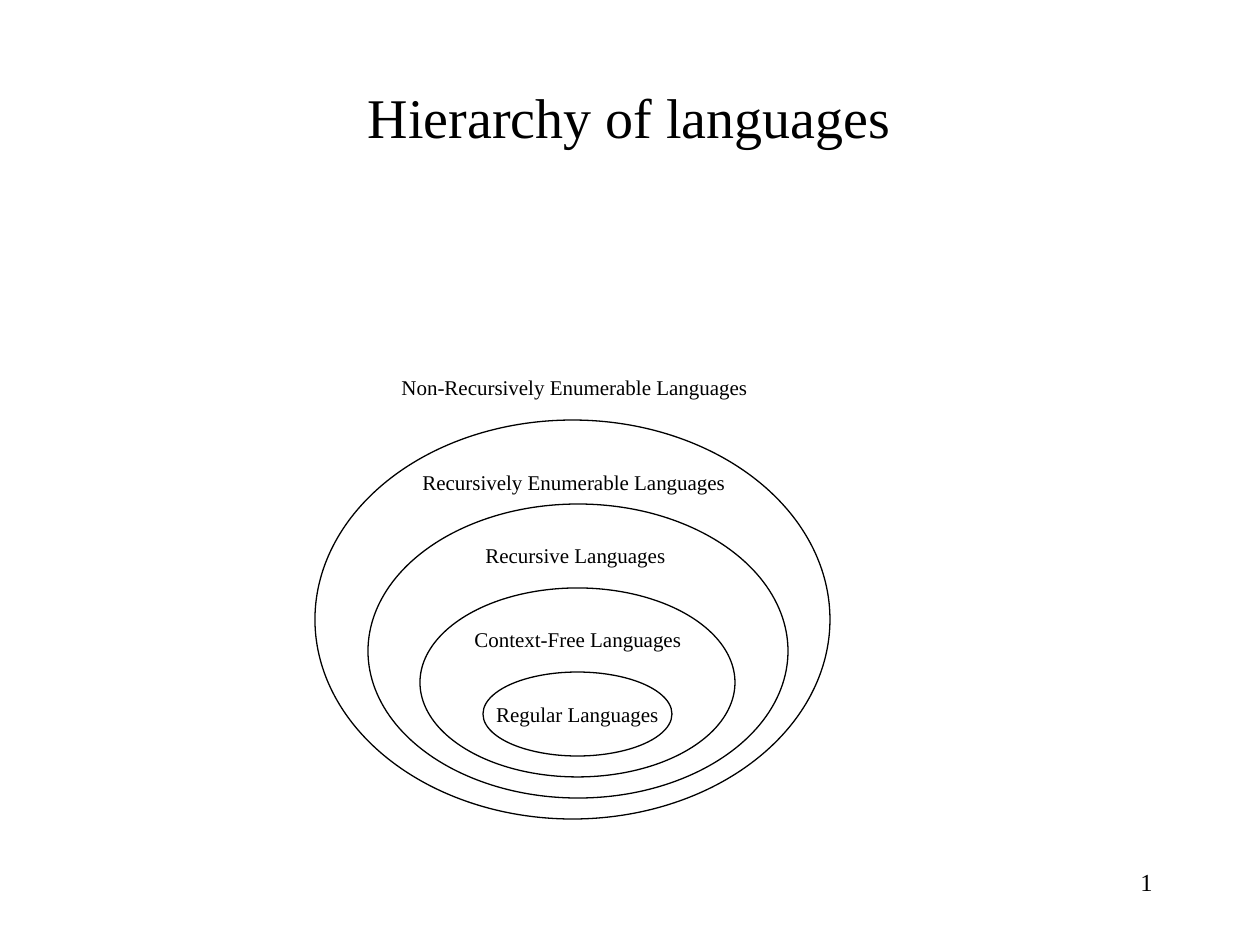
from pptx import Presentation
from pptx.dml.color import RGBColor
from pptx.enum.shapes import MSO_SHAPE
from pptx.enum.text import MSO_ANCHOR, PP_ALIGN
from pptx.util import Pt

BLACK = RGBColor(0x00, 0x00, 0x00)
FONT = "Times New Roman"
PX = 914400 / 126  # EMU per px


def px(*lengths):
    return [round(length * PX) for length in lengths]


def write(shape, text, size=12, align=PP_ALIGN.LEFT, anchor=MSO_ANCHOR.TOP, wrap=False):
    frame = shape.text_frame
    frame.word_wrap = wrap
    frame.vertical_anchor = anchor
    paragraph = frame.paragraphs[0]
    paragraph.alignment = align
    run = paragraph.add_run()
    run.text = text
    run.font.size = Pt(size)
    run.font.name = FONT
    run.font.color.rgb = BLACK


prs = Presentation()
prs.slide_width, prs.slide_height = px(1260, 945)
slide = prs.slides.add_slide(prs.slide_layouts[5])

# Title
title = slide.shapes.title
title.left, title.top, title.width, title.height = px(94, 53, 1071, 126)
write(title, "Hierarchy of languages", size=32, align=PP_ALIGN.CENTER,
      anchor=MSO_ANCHOR.MIDDLE, wrap=True)

# Slide number
page_number = slide.shapes.add_textbox(*px(903, 861, 262, 63))
write(page_number, "1", size=14, align=PP_ALIGN.RIGHT, wrap=True)

# Nested language classes, outermost first
hierarchy = slide.shapes.add_group_shape()
class_bounds = [
    (315, 420, 515, 399),
    (368, 504, 420, 294),
    (420, 588, 315, 189),
    (483, 672, 189, 84),
]
for bounds in class_bounds:
    language_class = hierarchy.shapes.add_shape(MSO_SHAPE.OVAL, *px(*bounds))
    language_class.shadow.inherit = False
    language_class.fill.background()
    language_class.line.color.rgb = BLACK
    language_class.line.width = Pt(0.75)

# The innermost class holds its own name
write(language_class, "Regular Languages", align=PP_ALIGN.CENTER, anchor=MSO_ANCHOR.MIDDLE)

# Names of the other classes
class_names = [
    ("Non-Recursively Enumerable Languages", 389, 368, 372),
    ("Recursively Enumerable Languages", 410, 463, 328),
    ("Recursive Languages", 473, 536, 205),
    ("Context-Free Languages", 462, 620, 232),
]
for name, left, top, width in class_names:
    class_label = hierarchy.shapes.add_textbox(*px(left, top, width, 38))
    write(class_label, name)

prs.save("out.pptx")
